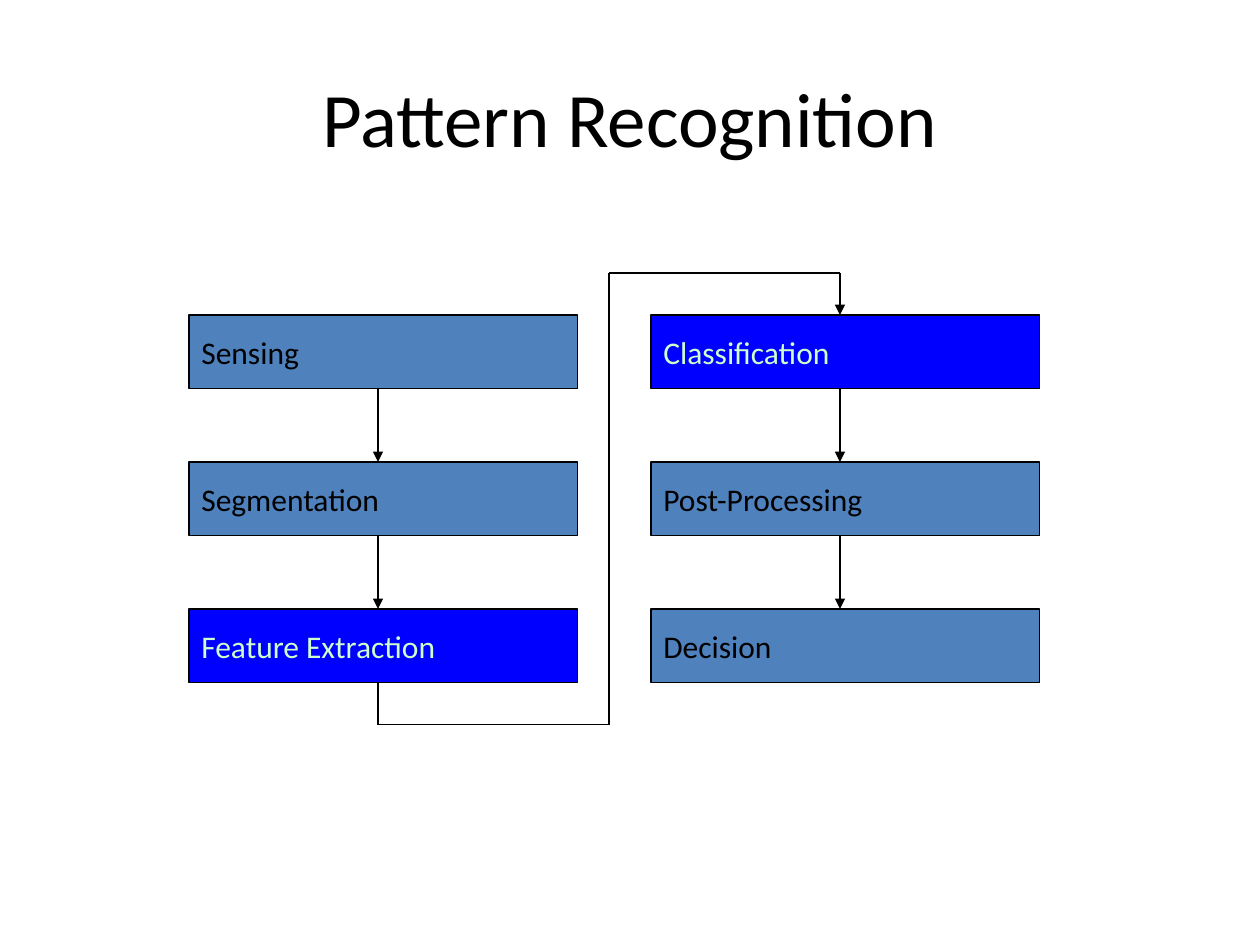
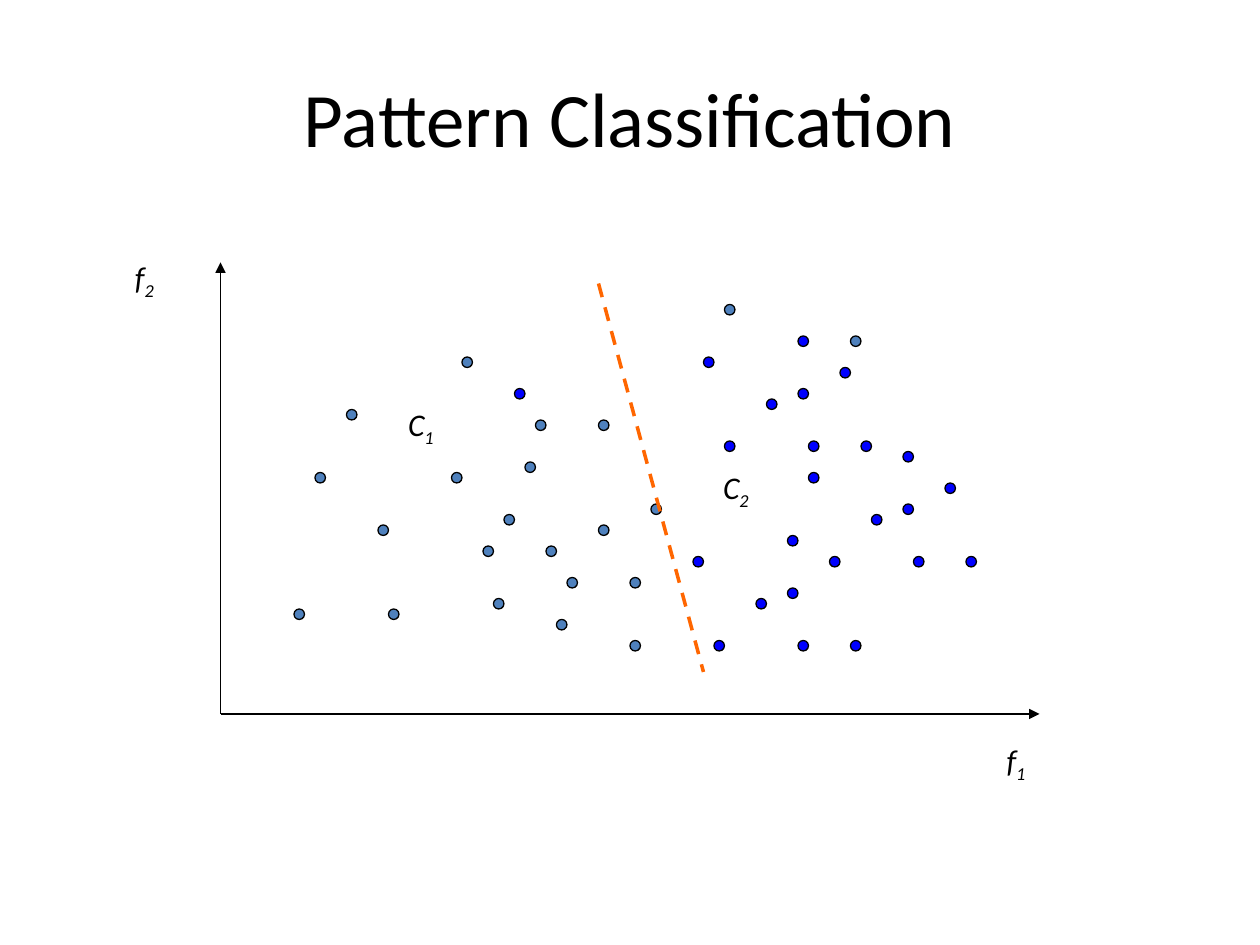
from itertools import pairwise

from lxml import etree
from pptx import Presentation
from pptx import util as u
from pptx.dml import color
from pptx.enum import dml, shapes, text
from pptx.oxml import ns

FONT = "Calibri"
BLACK, STEEL, BLUE, MINT, ORANGE = "000000", "4F81BD", "0000FF", "CCFFCC", "FF6600"

BOX_WIDTH, BOX_HEIGHT, BOX_PITCH, BOX_TOP = 37, 7, 14, 30
ARROW_OFFSET = 18
COLUMNS = {
    18: ["Sensing", "Segmentation", "Feature Extraction"],
    62: ["Classification", "Post-Processing", "Decision"],
}
HIGHLIGHTED = {"Feature Extraction", "Classification"}
FEEDBACK_ROUTE = [(36, 65), (36, 69), (58, 69), (58, 26), (80, 26), (80, 30)]

CLASS_ONE = [
    (60, 61), (43, 45), (33, 39), (46, 52), (53, 59), (36, 50), (37, 58), (52, 52),
    (47, 57), (28, 58), (44, 34), (81, 32), (60, 55), (57, 40), (62, 48), (54, 55),
    (48, 49), (50, 44), (69, 29), (51, 40), (57, 50), (30, 45),
]
CLASS_TWO = [
    (77, 45), (83, 49), (79, 53), (87, 53), (90, 46), (92, 53), (86, 48), (86, 43),
    (67, 34), (73, 38), (69, 42), (77, 42), (80, 35), (82, 42), (76, 37), (76, 32),
    (66, 53), (72, 57), (68, 61), (76, 61), (49, 37), (81, 61), (75, 56), (75, 51),
]
ORIGIN = (21, 68)
AXIS_ENDS = [(21, 25), (99, 68)]
AXIS_LABELS = [("f", "1", (94, 70)), ("f", "2", (11, 24))]
CLASS_LABELS = [("C", "1", (37, 38)), ("C", "2", (67, 44))]


def grid(*steps):
    return [u.Inches(step / 12) for step in steps]


def rgb(value):
    return color.RGBColor.from_string(value)


def style_font(font, size, shade):
    font.name = FONT
    font.size = u.Pt(size)
    font.color.rgb = rgb(shade)


def add_page(deck, title):
    page = deck.slides.add_slide(deck.slide_layouts[5])
    box = page.shapes.title
    box.left, box.top, box.width, box.height = map(u.Inches, (0.5, 0.3, 9, 1.25))
    box.text_frame.text = title
    box.text_frame.vertical_anchor = text.MSO_ANCHOR.MIDDLE
    para = box.text_frame.paragraphs[0]
    para.alignment = text.PP_ALIGN.CENTER
    style_font(para.font, 44, BLACK)
    return page


def add_filled_shape(page, kind, place, fill):
    shape = page.shapes.add_shape(kind, *grid(*place))
    shape.shadow.inherit = False
    shape.fill.solid()
    shape.fill.fore_color.rgb = rgb(fill)
    shape.line.color.rgb = rgb(BLACK)
    shape.line.width = u.Pt(0.75)
    return shape


def add_step(page, label, left, top):
    marked = label in HIGHLIGHTED
    place = (left, top, BOX_WIDTH, BOX_HEIGHT)
    box = add_filled_shape(page, shapes.MSO_SHAPE.RECTANGLE, place, BLUE if marked else STEEL)
    frame = box.text_frame
    frame.text = label
    frame.word_wrap = False
    frame.vertical_anchor = text.MSO_ANCHOR.MIDDLE
    para = frame.paragraphs[0]
    para.alignment = text.PP_ALIGN.LEFT
    style_font(para.font, 18, MINT if marked else BLACK)


def add_line(page, start, end, shade=BLACK, width=0.75, arrow=False):
    connector = page.shapes.add_connector(
        shapes.MSO_CONNECTOR.STRAIGHT, *grid(*start, *end))
    connector.line.color.rgb = rgb(shade)
    connector.line.width = u.Pt(width)
    properties = connector._element.spPr
    if arrow:
        outline = properties.find(ns.qn("a:ln"))
        etree.SubElement(outline, ns.qn("a:tailEnd"), type="triangle")
    etree.SubElement(properties, ns.qn("a:effectLst"))
    return connector


def add_symbol(page, letter, index, place):
    box = page.shapes.add_textbox(*grid(*place, 9, 6))
    frame = box.text_frame
    frame.word_wrap = True
    frame.auto_size = text.MSO_AUTO_SIZE.SHAPE_TO_FIT_TEXT
    para = frame.paragraphs[0]
    style_font(para.font, 18, BLACK)
    para.font.italic = True
    para.add_run().text = " " + letter
    span = para.add_run()
    span.text = index
    span._r.get_or_add_rPr().set("baseline", "-25000")


def build_recognition(deck):
    page = add_page(deck, "Pattern Recognition")
    for left, labels in COLUMNS.items():
        for row, label in enumerate(labels):
            top = BOX_TOP + row * BOX_PITCH
            add_step(page, label, left, top)
            if row:
                middle = left + ARROW_OFFSET
                above = top - BOX_PITCH + BOX_HEIGHT
                add_line(page, (middle, above), (middle, top), arrow=True)
    for start, end in pairwise(FEEDBACK_ROUTE):
        add_line(page, start, end, arrow=end == FEEDBACK_ROUTE[-1])


def build_classification(deck):
    page = add_page(deck, "Pattern Classification")
    for end in AXIS_ENDS:
        add_line(page, ORIGIN, end, arrow=True)
    for label in AXIS_LABELS:
        add_symbol(page, *label)
    for samples, fill in ((CLASS_ONE, STEEL), (CLASS_TWO, BLUE)):
        for left, top in samples:
            add_filled_shape(page, shapes.MSO_SHAPE.OVAL, (left, top, 1, 1), fill)
    boundary = add_line(page, (57, 27), (67, 64), ORANGE, 2)
    boundary.line.dash_style = dml.MSO_LINE.DASH
    for label in CLASS_LABELS:
        add_symbol(page, *label)


def main():
    deck = Presentation()
    deck.slide_width, deck.slide_height = u.Inches(10), u.Inches(7.5)
    build_recognition(deck)
    build_classification(deck)
    deck.save("out.pptx")


main()
